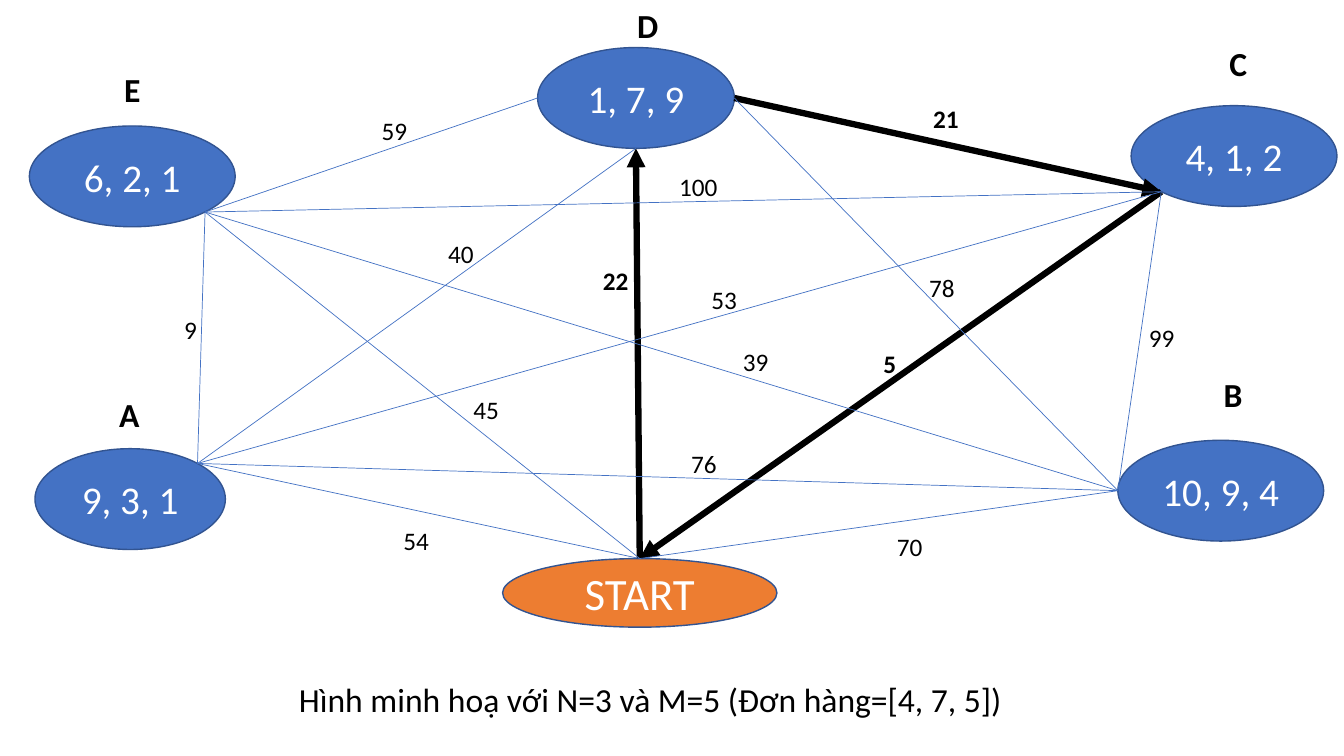
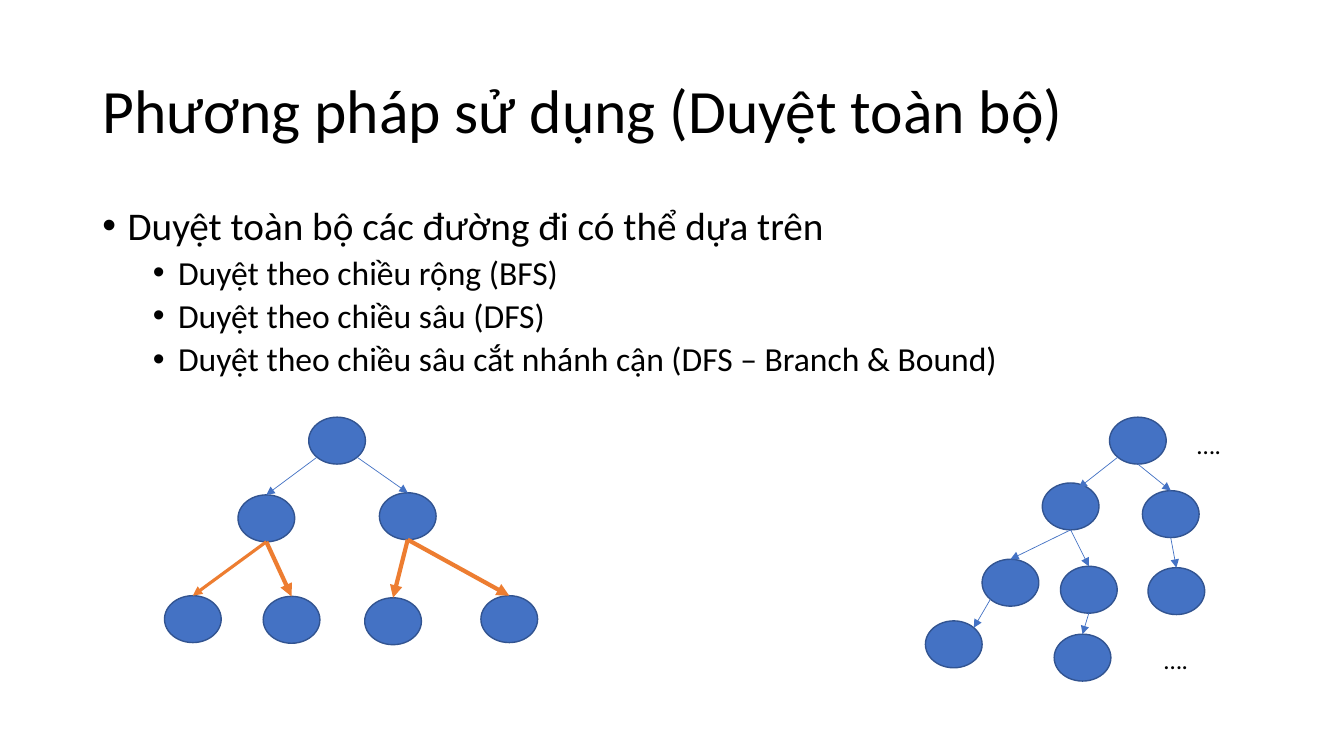
import math

import lxml.etree
import pptx
import pptx.dml.color
import pptx.enum.shapes
import pptx.enum.text
import pptx.oxml.ns
import pptx.util

Pt = pptx.util.Pt
qn = pptx.oxml.ns.qn
colour = pptx.dml.color.RGBColor.from_string

FONT = "Calibri"
BLUE = "4472C4"
OUTLINE = "325491"
ORANGE = "ED7D31"
BLACK = "000000"
WHITE = "FFFFFF"


def write(paragraph, text, size, text_colour=BLACK, bold=False):
    run = paragraph.add_run()
    run.text = text
    run.font.name = FONT
    run.font.size = Pt(size)
    run.font.bold = bold
    run.font.color.rgb = colour(text_colour)


def connect(slide, begin, end, line_colour, width, arrow):
    points = []
    joints = []
    for tag, (target, site) in (("a:stCxn", begin), ("a:endCxn", end)):
        if isinstance(target, (int, float)):
            points += [Pt(target), Pt(site)]
            continue
        angle = math.radians(90 + 45 * site)
        points.append(round(target.left + target.width * (1 + math.cos(angle)) / 2))
        points.append(round(target.top + target.height * (1 - math.sin(angle)) / 2))
        joints.append((tag, target.shape_id, site))
    connector = slide.shapes.add_connector(pptx.enum.shapes.MSO_CONNECTOR.STRAIGHT, *points)
    connector.line.color.rgb = colour(line_colour)
    connector.line.width = Pt(width)
    element = connector._element
    joint_parent = element.find(".//" + qn("p:cNvCxnSpPr"))
    for tag, shape_id, site in joints:
        lxml.etree.SubElement(joint_parent, qn(tag), id=str(shape_id), idx=str(site))
    if arrow:
        lxml.etree.SubElement(element.find(".//" + qn("a:ln")), qn("a:tailEnd"), type="triangle")
    lxml.etree.SubElement(element.find(qn("p:spPr")), qn("a:effectLst"))


presentation = pptx.Presentation()
presentation.slide_width = Pt(960)
presentation.slide_height = Pt(540)
graph_slide = presentation.slides.add_slide(presentation.slide_layouts[6])
method_slide = presentation.slides.add_slide(presentation.slide_layouts[1])

title = method_slide.shapes.title
title.left, title.top, title.width, title.height = Pt(66), Pt(29), Pt(828), Pt(104.5)
title.text_frame.vertical_anchor = pptx.enum.text.MSO_ANCHOR.MIDDLE
title.text_frame.auto_size = pptx.enum.text.MSO_AUTO_SIZE.NONE
paragraph = title.text_frame.paragraphs[0]
paragraph.alignment = pptx.enum.text.PP_ALIGN.LEFT
paragraph.line_spacing = 0.9
write(paragraph, "Phương pháp sử dụng (Duyệt toàn bộ)", 44)

body = method_slide.placeholders[1]
body.left, body.top, body.width, body.height = Pt(66), Pt(144), Pt(828), Pt(343)
body.text_frame.auto_size = pptx.enum.text.MSO_AUTO_SIZE.NONE
bullets = [
    (0, "Duyệt toàn bộ các đường đi có thể dựa trên"),
    (1, "Duyệt theo chiều rộng (BFS)"),
    (1, "Duyệt theo chiều sâu (DFS)"),
    (1, "Duyệt theo chiều sâu cắt nhánh cận (DFS – Branch & Bound)"),
]
for index, (level, text) in enumerate(bullets):
    paragraph = body.text_frame.add_paragraph() if index else body.text_frame.paragraphs[0]
    paragraph.level = level
    paragraph.line_spacing = 0.9
    paragraph.space_before = Pt(5 if level else 10)
    properties = paragraph._p.get_or_add_pPr()
    properties.set("marL", str(Pt(18 + 36 * level)))
    properties.set("indent", str(Pt(-18)))
    lxml.etree.SubElement(properties, qn("a:buFont"), typeface="Arial")
    lxml.etree.SubElement(properties, qn("a:buChar"), char="•")
    write(paragraph, text, 24 if level else 28)

TREE_NODE = (40.5, 33.5)
node_data = [
    (graph_slide, "A", 25, 320.5, (136, 72), BLUE, "9, 3, 1", 28),
    (graph_slide, "D", 384, 34, (140.5, 72), BLUE, "1, 7, 9", 28),
    (graph_slide, "B", 798.5, 314.5, (147, 72), BLUE, "10, 9, 4", 28),
    (graph_slide, "E", 21, 90, (147, 72), BLUE, "6, 2, 1", 28),
    (graph_slide, "C", 808, 75.5, (147, 72), BLUE, "4, 1, 2", 28),
    (graph_slide, "START", 359, 399, (196, 49), ORANGE, "START", 32),
]
tree_positions = {
    "bfs": (220.5, 298),
    "bfs left": (170, 353.5),
    "bfs right": (271, 352),
    "bfs leaf 1": (117.5, 425.5),
    "bfs leaf 2": (188, 426),
    "bfs leaf 3": (260.5, 427),
    "bfs leaf 4": (343.5, 425.5),
    "dfs": (792.5, 298),
    "dfs left": (744.5, 345),
    "dfs right": (816, 350.5),
    "dfs left 1": (701.5, 399.5),
    "dfs left 2": (757.5, 404.5),
    "dfs right 1": (820, 405.5),
    "dfs leaf 1": (661, 443.5),
    "dfs leaf 2": (753, 453),
}
for name, (left, top) in tree_positions.items():
    node_data.append((method_slide, name, left, top, TREE_NODE, BLUE, "", 18))

nodes = {}
for slide, name, left, top, (width, height), fill, text, size in node_data:
    shape = slide.shapes.add_shape(
        pptx.enum.shapes.MSO_SHAPE.OVAL, Pt(left), Pt(top), Pt(width), Pt(height))
    shape.shadow.inherit = False
    shape.fill.solid()
    shape.fill.fore_color.rgb = colour(fill)
    shape.line.color.rgb = colour(OUTLINE)
    shape.line.width = Pt(1)
    if text:
        shape.text_frame.vertical_anchor = pptx.enum.text.MSO_ANCHOR.MIDDLE
        paragraph = shape.text_frame.paragraphs[0]
        paragraph.alignment = pptx.enum.text.PP_ALIGN.CENTER
        write(paragraph, text, size, WHITE)
    nodes[name] = shape

labels = [
    (graph_slide, "A", 78, 278, 32, 24, True),
    (graph_slide, "E", 81.5, 45.5, 32, 24, True),
    (graph_slide, "C", 871, 27, 32, 24, True),
    (graph_slide, "D", 448, 0, 32, 24, True),
    (graph_slide, "B", 867, 263.5, 32, 24, True),
    (graph_slide, "Hình minh hoạ với N=3 và M=5 (Đơn hàng=[4, 7, 5])", 206.5, 481.5, 526.5, 24, False),
    (method_slide, "….", 824.5, 457, 31.5, 18, False),
    (method_slide, "….", 848, 303, 31.5, 18, False),
]
graph_edges = [
    ("START", 0, "D", 4, "22", 423.5, 186, True),
    ("D", 6, "C", 3, "21", 659.5, 70.5, True),
    ("C", 3, "START", 0, "5", 624, 245.5, True),
    ("E", 5, "A", 7, "9", 124.5, 221, False),
    ("START", 0, "E", 5, "45", 331, 278, False),
    ("START", 0, "A", 7, "54", 281, 371.5, False),
    ("D", 2, "E", 5, "59", 265.5, 78.5, False),
    ("B", 2, "E", 5, "39", 523.5, 243.5, False),
    ("C", 3, "E", 5, "100", 478, 119, False),
    ("C", 3, "A", 7, "53", 501, 199.5, False),
    ("B", 2, "D", 6, "78", 656.5, 191, False),
    ("B", 2, "C", 3, "99", 813.5, 227, False),
    ("B", 2, "A", 7, "76", 486.5, 317, False),
    ("B", 2, "START", 0, "70", 633.5, 376, False),
    ("D", 4, "A", 7, "40", 313, 166.5, False),
]
for begin, begin_site, end, end_site, weight, left, top, on_route in graph_edges:
    connect(graph_slide, (nodes[begin], begin_site), (nodes[end], end_site),
            BLACK if on_route else BLUE, 4.5 if on_route else 0.5, on_route)
    labels.append((graph_slide, weight, left, top, 14.4 + 9.2 * len(weight), 18, on_route))

tree_edges = [
    ("bfs", 3, "bfs left", 0, BLUE, 0.5),
    ("bfs", 5, "bfs right", 0, BLUE, 0.5),
    ("bfs left", 4, "bfs leaf 1", 0, ORANGE, 2.25),
    ("bfs left", 4, "bfs leaf 2", 0, ORANGE, 3),
    ("bfs right", 4, "bfs leaf 3", 0, ORANGE, 3),
    ("bfs right", 4, "bfs leaf 4", 0, ORANGE, 3),
    ("dfs left", 4, "dfs left 1", 0, BLUE, 0.5),
    ("dfs left 1", 3, "dfs leaf 1", 7, BLUE, 0.5),
    ("dfs", 4, "dfs right", 0, BLUE, 0.5),
    ("dfs left 2", 4, "dfs leaf 2", 0, BLUE, 0.5),
    ("dfs left", 4, "dfs left 2", 0, BLUE, 0.5),
    ("dfs right", 4, "dfs right 1", 0, BLUE, 0.5),
]
for begin, begin_site, end, end_site, line_colour, width in tree_edges:
    connect(method_slide, (nodes[begin], begin_site), (nodes[end], end_site),
            line_colour, width, True)
connect(method_slide, (nodes["dfs"], 3), (770.5, 348.5), BLUE, 0.5, True)

for slide, text, left, top, width, size, bold in labels:
    box = slide.shapes.add_textbox(Pt(left), Pt(top), Pt(width), Pt(1.2 * size + 7.2))
    box.text_frame.word_wrap = len(text) == 1 and size == 24
    box.text_frame.auto_size = pptx.enum.text.MSO_AUTO_SIZE.SHAPE_TO_FIT_TEXT
    write(box.text_frame.paragraphs[0], text, size, BLACK, bold)

presentation.save("out.pptx")
